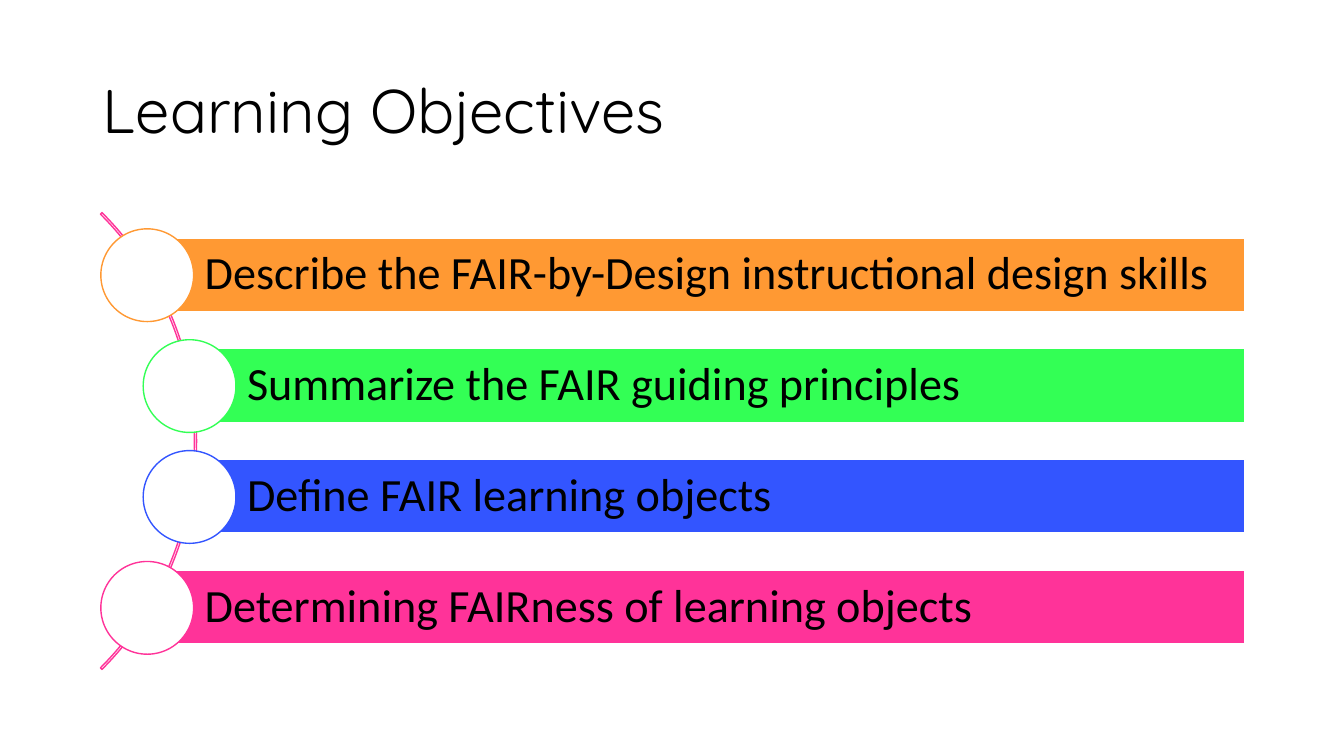
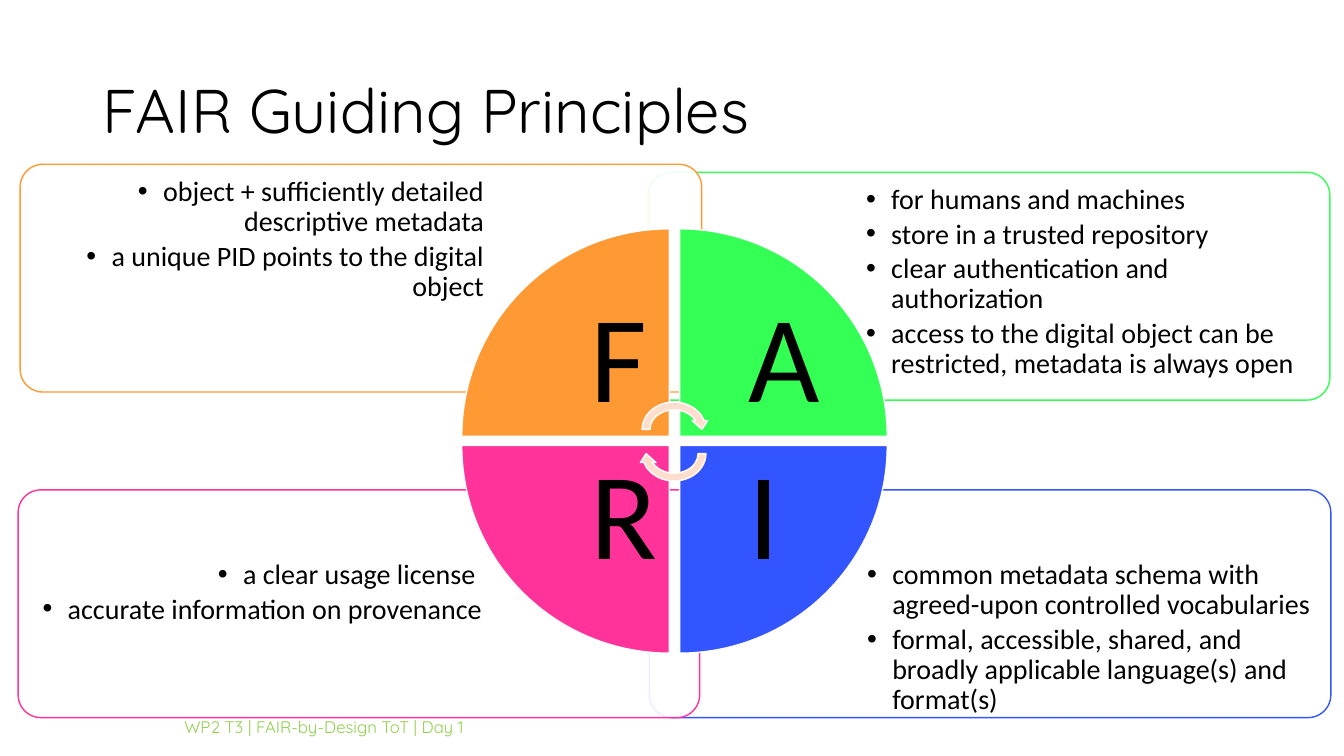
from lxml import etree
from pptx import Presentation
from pptx.dml.color import RGBColor
from pptx.enum.shapes import MSO_SHAPE
from pptx.enum.text import MSO_ANCHOR, MSO_AUTO_SIZE, PP_ALIGN
from pptx.oxml.ns import qn
from pptx.util import Emu, Pt

RECTANGLE, ELLIPSE = MSO_SHAPE.RECTANGLE, MSO_SHAPE.OVAL
ROUNDED, ARC = MSO_SHAPE.ROUNDED_RECTANGLE, MSO_SHAPE.BLOCK_ARC
WEDGE, ROUND_ARROW = MSO_SHAPE.PIE_WEDGE, MSO_SHAPE.CIRCULAR_ARROW
LEFT, RIGHT = PP_ALIGN.LEFT, PP_ALIGN.RIGHT
TOP, MIDDLE = MSO_ANCHOR.TOP, MSO_ANCHOR.MIDDLE
PX = 9144  # 100 px to the inch

# Theme: colours and type sizes
THEME = {
    "orange": "FF9933", "green": "33FF55", "blue": "3355FF", "pink": "FF3399",
    "white": "FFFFFF", "black": "000000", "peach": "FFDECE", "lime": "92D050",
}
TYPE = {
    "title": {"name": "Quicksand", "size": Pt(44), "color": "black"},
    "objective": {"name": "Calibri", "size": Pt(33), "color": "black"},
    "bullet": {"name": "Calibri", "size": Pt(20), "color": "black"},
    "letter": {"name": "Calibri", "size": Pt(88), "color": "black"},
    "footer": {"name": "Quicksand", "size": Pt(12), "color": "lime"},
}
TITLE_BOX = (92, 40, 1150, 145)
FOOTER_BOX = (173, 701, 587, 40)
FOOTER = "WP2 T3 | FAIR-by-Design ToT | Day 1"

# Content: text, colour, indent of the circle along the arc
OBJECTIVES = [
    ("Describe the FAIR-by-Design instructional design skills", "orange", 0),
    ("Summarize the FAIR guiding principles", "green", 42),
    ("Define FAIR learning objects", "blue", 42),
    ("Determining FAIRness of learning objects", "pink", 0),
]
# Content: letter, colour, column, row, card corner, turn of the wedge, bullets
PRINCIPLES = [
    ("I", "blue", 1, 1, (644, 486), 180, [
        "common metadata schema with agreed-upon controlled vocabularies",
        "formal, accessible, shared, and broadly applicable language(s) and format(s)"]),
    ("R", "pink", 0, 1, (18, 486), 270, [
        "a clear usage license ",
        "accurate information on provenance"]),
    ("A", "green", 1, 0, (643, 171), 90, [
        "for humans and machines",
        "store in a trusted repository",
        "clear authentication and authorization",
        "access to the digital object can be restricted, metadata is always open"]),
    ("F", "orange", 0, 0, (20, 163), 0, [
        "object + sufficiently detailed descriptive metadata",
        "a unique PID points to the digital object"]),
]


def rgb(color):
    return RGBColor.from_string(THEME[color])


def add_shape(slide, kind, box, fill, line, rotation=0, adjustments=()):
    shape = slide.shapes.add_shape(kind, *(Emu(value * PX) for value in box))
    shape.shadow.inherit = False
    shape.rotation = rotation
    for index, value in enumerate(adjustments):
        shape.adjustments[index] = value
    if fill:
        shape.fill.solid()
        shape.fill.fore_color.rgb = rgb(fill)
    else:
        shape.fill.background()
    shape.line.color.rgb = rgb(line)
    shape.line.width = Pt(1)
    return shape


def add_box(slide, box):
    return slide.shapes.add_textbox(*(Emu(value * PX) for value in box))


def add_bullet(paragraph):
    properties = paragraph._p.get_or_add_pPr()
    properties.set("marL", str(25 * PX))
    properties.set("indent", str(-25 * PX))
    etree.SubElement(properties, qn("a:buFont")).set("typeface", "Arial")
    etree.SubElement(properties, qn("a:buChar")).set("char", "•")


def write(shape, lines, style, insets=(10, 5, 10, 5), anchor=MIDDLE,
          alignment=LEFT, spacing=0.9, after=0, bullets=False):
    frame = shape.text_frame
    frame_format = {"word_wrap": True, "auto_size": MSO_AUTO_SIZE.NONE,
                    "vertical_anchor": anchor}
    for side, inset in zip(("left", "top", "right", "bottom"), insets):
        frame_format["margin_" + side] = Emu(inset * PX)
    for name, value in frame_format.items():
        setattr(frame, name, value)
    paragraph_format = {"alignment": alignment, "line_spacing": spacing,
                        "space_before": Pt(0), "space_after": Pt(after)}
    for index, text in enumerate(lines):
        paragraph = frame.add_paragraph() if index else frame.paragraphs[0]
        for name, value in paragraph_format.items():
            setattr(paragraph, name, value)
        if bullets:
            add_bullet(paragraph)
        run = paragraph.add_run()
        run.text = text
        for name, value in TYPE[style].items():
            if name == "color":
                run.font.color.rgb = rgb(value)
            else:
                setattr(run.font, name, value)


def add_titled_slide(presentation, title):
    slide = presentation.slides.add_slide(presentation.slide_layouts[5])
    shape = slide.shapes.title
    for name, value in zip(("left", "top", "width", "height"), TITLE_BOX):
        setattr(shape, name, Emu(value * PX))
    write(shape, [title], "title")
    return slide


def build_objectives(presentation):
    slide = add_titled_slide(presentation, "Learning Objectives")
    # Thin arc behind the circles, from 315 to 45 degrees
    add_shape(slide, ARC, (-446, 117, 641, 641), None, "pink",
              adjustments=(189, 27, 0.0034))
    # One bar and one circle for each objective
    circle, pitch, bar_height, bar_right = 92, 110, 73, 1235
    for index, (text, color, indent) in enumerate(OBJECTIVES):
        left, top = 100 + indent, 227 + index * pitch
        bar_left = left + 45
        bar = add_shape(slide, RECTANGLE,
                        (bar_left, top + 9, bar_right - bar_left, bar_height),
                        color, "white")
        write(bar, [text], "objective", insets=(58, 9, 9, 9))
        add_shape(slide, ELLIPSE, (left, top, circle, circle), "white", color)


def build_principles(presentation):
    slide = add_titled_slide(presentation, "FAIR Guiding Principles")
    # Cards with their bullets on the outer side
    for _, color, column, row, (left, top), _, lines in PRINCIPLES:
        card = add_shape(slide, ROUNDED, (left, top, 676, 226), "white", color,
                         adjustments=(0.1,))
        fill_color = card.fill._xPr.find(qn("a:solidFill"))[0]
        etree.SubElement(fill_color, qn("a:alpha")).set("val", "90000")
        text_left = left + (208 if column else 5)
        text_top = top + (62 if row else 5)
        write(add_box(slide, (text_left, text_top, 463, 160)), lines, "bullet",
              insets=(8, 8, 8, 8), anchor=TOP,
              alignment=LEFT if column else RIGHT, after=3, bullets=True)
    # Four wedges form the wheel, each with its letter near the centre
    wedge, letter_box = 206, 146
    offset = wedge - letter_box
    for letter, color, column, row, _, rotation, _ in PRINCIPLES:
        left, top = (458, 674)[column], (227, 442)[row]
        add_shape(slide, WEDGE, (left, top, wedge, wedge), color, "white", rotation)
        box = (left + offset * (1 - column), top + offset * (1 - row),
               letter_box, letter_box)
        write(add_box(slide, box), [letter], "letter", insets=(68, 0, 0, 0))
    # Turning arrows in the middle
    for top, rotation in ((395, 0), (419, 180)):
        add_shape(slide, ROUND_ARROW, (633, top, 71, 62), "peach", "white", rotation)
    write(add_box(slide, FOOTER_BOX), [FOOTER], "footer", spacing=1.0)


def main():
    presentation = Presentation()
    presentation.slide_width = Emu(1333 * PX)
    presentation.slide_height = Emu(750 * PX)
    build_objectives(presentation)
    build_principles(presentation)
    presentation.save("out.pptx")


if __name__ == "__main__":
    main()
